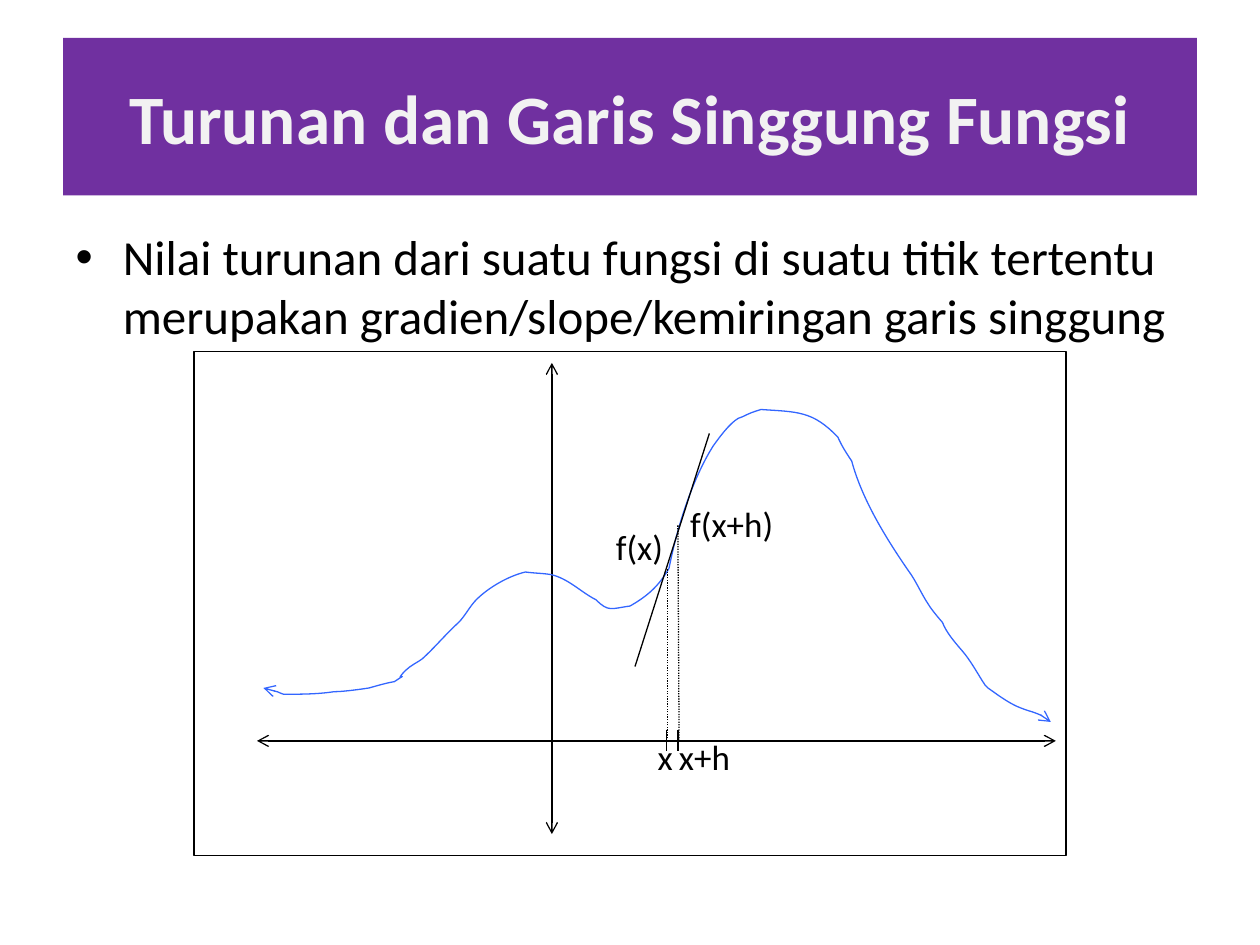
"""Builds the slide on derivatives and tangent lines."""
from itertools import chain

from lxml import etree
from pptx import Presentation
from pptx import util as u
from pptx.dml.color import RGBColor
from pptx.enum import dml, shapes, text
from pptx.oxml.ns import qn

PX = 9144
BLACK = RGBColor(0x00, 0x00, 0x00)
WHITE = RGBColor(0xFF, 0xFF, 0xFF)
PALE = RGBColor(0xF2, 0xF2, 0xF2)
PURPLE = RGBColor(0x70, 0x30, 0xA0)
BLUE = RGBColor(0x33, 0x66, 0xFF)

CURVE_START = (209, 546)
CURVE = [
    (213, 547, 216, 548, 220, 549), (222, 550, 225, 551, 225, 551),
    (238, 551, 252, 551, 265, 549), (274, 549, 293, 546, 293, 546),
    (300, 544, 307, 542, 313, 541), (328, 531, 310, 544, 322, 532),
    (326, 528, 331, 526, 335, 523), (345, 514, 354, 503, 364, 494),
    (369, 489, 373, 481, 378, 476), (388, 466, 404, 457, 417, 454),
    (424, 455, 431, 455, 437, 456), (451, 459, 461, 470, 473, 476),
    (483, 486, 485, 483, 500, 481), (514, 473, 523, 465, 531, 451),
    (537, 420, 549, 381, 566, 354), (571, 347, 579, 336, 586, 332),
    (589, 331, 591, 330, 593, 329), (597, 327, 604, 325, 604, 325),
    (633, 327, 645, 326, 665, 347), (668, 354, 672, 360, 676, 366),
    (684, 396, 703, 427, 721, 453), (727, 461, 731, 471, 737, 480),
    (740, 485, 748, 494, 748, 494), (751, 502, 758, 510, 764, 517),
    (770, 524, 775, 533, 780, 541), (781, 542, 782, 545, 784, 546),
    (787, 548, 791, 551, 794, 553), (803, 559, 807, 561, 816, 564),
    (820, 565, 827, 568, 827, 568), (833, 572, 831, 570, 834, 573),
]


class Canvas:
    """Holds the style and the current slide, and draws each kind of element."""

    font = "Calibri"
    stroke = u.Pt(0.75)

    def __init__(self, slide):
        self.slide = slide
        self.graph = slide.shapes.add_group_shape().shapes

    def set_words(self, frame, words, size, color, bold=False):
        frame.text = words
        for run in frame.paragraphs[0].runs:
            run.font.name, run.font.size, run.font.bold = self.font, u.Pt(size), bold
            run.font.color.rgb = color

    def place(self, shape, box):
        shape.left, shape.top, shape.width, shape.height = (v * PX for v in box)

    def title(self, words, box):
        heading = self.slide.shapes.title
        self.place(heading, box)
        heading.fill.solid()
        heading.fill.fore_color.rgb = PURPLE
        heading.text_frame.auto_size = text.MSO_AUTO_SIZE.NONE
        heading.text_frame.vertical_anchor = text.MSO_ANCHOR.MIDDLE
        self.set_words(heading.text_frame, words, 39.6, PALE, True)
        heading.text_frame.paragraphs[0].alignment = text.PP_ALIGN.CENTER

    def body(self, words, box):
        statement = self.slide.placeholders[1]
        self.place(statement, box)
        statement.text_frame.auto_size = text.MSO_AUTO_SIZE.NONE
        self.set_words(statement.text_frame, words, 28, BLACK)

    def outline(self, shape, color, arrows=False):
        shape.line.color.rgb = color
        shape.line.width = self.stroke
        if arrows:
            line = shape.line._get_or_add_ln()
            for end in ("a:headEnd", "a:tailEnd"):
                etree.SubElement(line, qn(end), type="arrow")

    def panel(self, box):
        frame = self.graph.add_shape(shapes.MSO_SHAPE.RECTANGLE, *(v * PX for v in box))
        frame.shadow.inherit = False
        frame.fill.solid()
        frame.fill.fore_color.rgb = WHITE
        self.outline(frame, BLACK)

    def line(self, ends, arrows=False, dotted=False):
        segment = self.graph.add_connector(
            shapes.MSO_CONNECTOR.STRAIGHT, *(v * PX for v in ends))
        self.outline(segment, BLACK, arrows)
        if dotted:
            segment.line.dash_style = dml.MSO_LINE.ROUND_DOT
        etree.SubElement(segment._element.spPr, qn("a:effectLst"))

    def curve(self, start, beziers):
        points = chain.from_iterable(zip(b[::2], b[1::2]) for b in beziers)
        builder = self.graph.build_freeform(*start, scale=PX)
        builder.add_line_segments(list(points), close=False)
        graph_line = builder.convert_to_shape()
        graph_line.shadow.inherit = False
        graph_line.fill.background()
        self.outline(graph_line, BLUE, arrows=True)
        steps = list(graph_line._element.iter(qn("a:lnTo")))
        for first in range(0, len(steps), 3):
            bezier = etree.Element(qn("a:cubicBezTo"))
            steps[first].addprevious(bezier)
            for step in steps[first:first + 3]:
                bezier.append(step[0])
                step.getparent().remove(step)

    def label(self, words, box):
        caption = self.graph.add_textbox(*(v * PX for v in box))
        caption.text_frame.word_wrap = True
        self.set_words(caption.text_frame, words, 20, BLACK)


def main():
    deck = Presentation()
    deck.slide_width, deck.slide_height = 1000 * PX, 750 * PX
    canvas = Canvas(deck.slides.add_slide(deck.slide_layouts[1]))
    canvas.title("Turunan dan Garis Singgung Fungsi", (50, 30, 900, 125))
    canvas.body("Nilai turunan dari suatu fungsi di suatu titik tertentu "
                "merupakan gradien/slope/kemiringan garis singgung",
                (50, 175, 900, 495))

    canvas.panel((154, 279, 692, 400))
    for axis in ((438, 288, 438, 662), (204, 588, 838, 588)):
        canvas.line(axis, arrows=True)
    canvas.curve(CURVE_START, CURVE)
    for tick in (529, 538):
        canvas.line((tick, 579, tick, 596))
    for drop in ((530, 588, 530, 451), (539, 588, 538, 417)):
        canvas.line(drop, dotted=True)
    tangent = (504, 529, 563, 344)
    canvas.line(tangent)
    for words, left, top, width in (("x", 512, 579, 42), ("x+h", 529, 579, 83),
                                    ("f(x)", 479, 412, 83), ("f(x+h)", 538, 394, 100)):
        canvas.label(words, (left, top, width, 43))
    deck.save("out.pptx")


if __name__ == "__main__":
    main()
